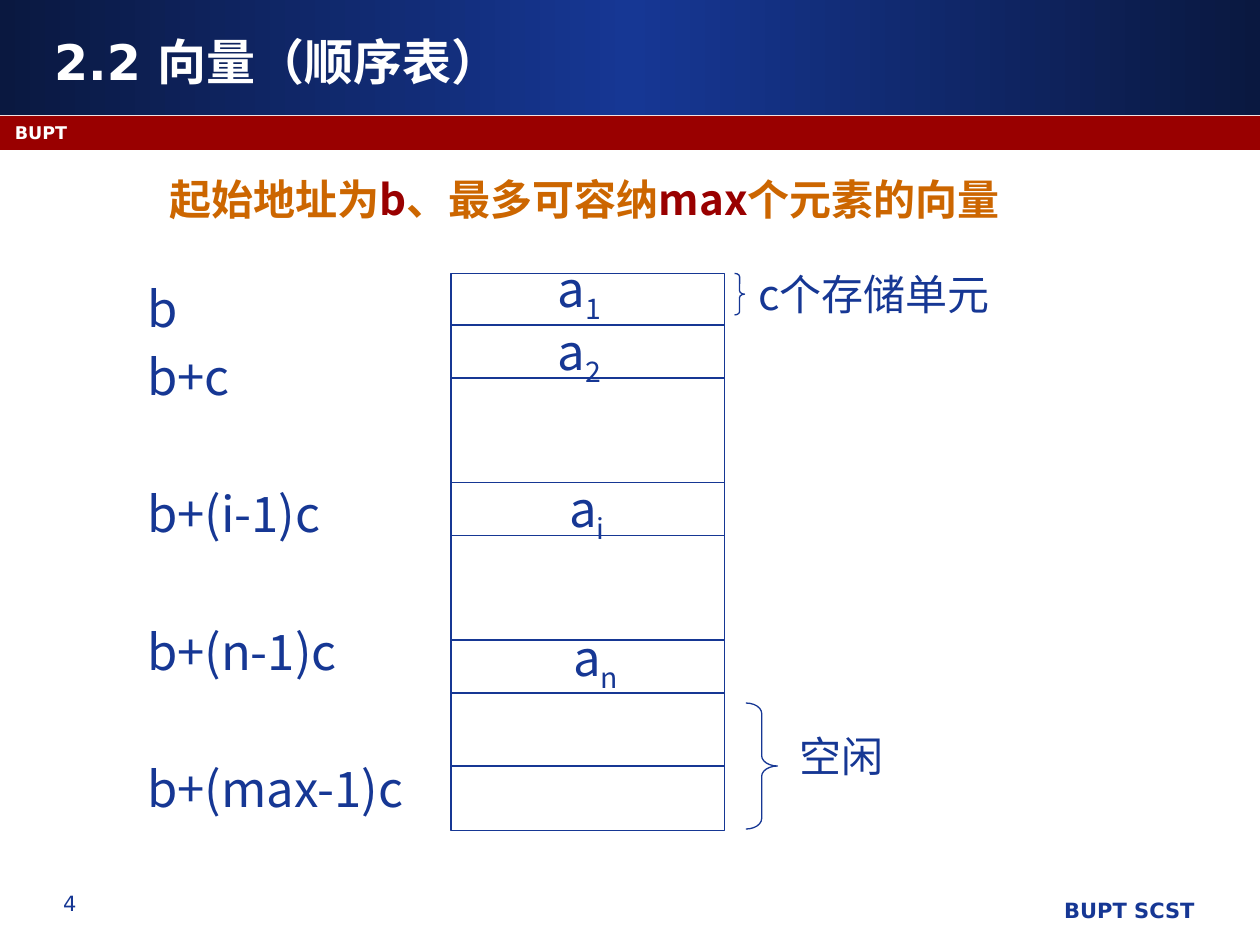
from copy import deepcopy
from typing import NamedTuple

from lxml.etree import SubElement
from pptx import Presentation
from pptx.dml.color import RGBColor
from pptx.enum.shapes import MSO_CONNECTOR as Connector, MSO_SHAPE as Shape
from pptx.enum.text import MSO_ANCHOR as Anchor, PP_ALIGN as Align
from pptx.oxml.ns import qn
from pptx.util import Inches, Pt

BLUE = RGBColor(0x16, 0x37, 0x94)
NAVY = RGBColor(0x0A, 0x18, 0x40)
RED = RGBColor(0x99, 0x00, 0x00)
ORANGE = RGBColor(0xCC, 0x66, 0x00)
WHITE = RGBColor(0xFF, 0xFF, 0xFF)
LATIN = "DejaVu Sans"
CHINESE = "Noto Sans CJK SC"


class Box(NamedTuple):
    left: float
    top: float
    width: float
    height: float

    def inches(self) -> list:
        return [Inches(value) for value in self]


class Element(NamedTuple):
    subscript: str
    box: Box


class Label(NamedTuple):
    text: str
    box: Box
    format: dict
    align: Align = Align.LEFT


class Address(NamedTuple):
    text: str
    skipped_rows: int


BODY = {"name": CHINESE, "size": Pt(28), "bold": False, "color": BLUE}
NOTE = BODY | {"size": Pt(24)}
HEADING = NOTE | {"bold": True, "color": ORANGE}
TITLE = {"name": LATIN, "size": Pt(28), "bold": True, "color": WHITE}
FOOTER = TITLE | {"size": Pt(12), "color": BLUE}

TABLE = Box(3.58, 2.17, 2.17, 4.42)
DIVIDERS = [2.58, 3, 3.83, 4.25, 5.08, 5.5, 6.08]
BRACES = [Box(5.92, 5.58, 0.25, 1), Box(5.83, 2.17, 0.08, 0.33)]
ROW_PITCH = 39.2
ADDRESSES = [
    Address("b", 0),
    Address("b+c", 0),
    Address("b+(i-1)c", 1),
    Address("b+(n-1)c", 1),
    Address("b+(max-1)c", 1),
]
ELEMENTS = [
    Element("1", Box(4.33, 2, 0.92, 0.57)),
    Element("2", Box(4.33, 2.5, 0.83, 0.57)),
    Element("i", Box(4.42, 3.75, 0.67, 0.57)),
    Element("n", Box(4.45, 4.93, 0.95, 0.57)),
]
LABELS = [
    Label("BUPT SCST", Box(4.21, 7.07, 5.37, 0.35), FOOTER, Align.RIGHT),
    Label("4", Box(0.12, 7.02, 0.87, 0.35), FOOTER | {"bold": False}, Align.CENTER),
    Label("BUPT", Box(0.02, 0.92, 9.25, 0.25), TITLE | {"size": Pt(10)}),
    Label("空闲", Box(6.25, 5.75, 1, 0.5), NOTE),
    Label("c个存储单元", Box(5.92, 2.08, 2.33, 0.5), NOTE),
]
HEADING_PARTS = [
    ("起始地址为", ORANGE),
    ("b", RED),
    ("、最多可容纳", ORANGE),
    ("max", RED),
    ("个元素的向量", ORANGE),
]


def add_run(paragraph, text: str, format: dict):
    run = paragraph.add_run()
    run.text = text
    for name, value in format.items():
        if name == "color":
            run.font.color.rgb = value
        else:
            setattr(run.font, name, value)
    SubElement(run.font._element, qn("a:ea"), typeface=format["name"])
    return run


def add_text_frame(slide, box: Box):
    frame = slide.shapes.add_textbox(*box.inches()).text_frame
    frame.word_wrap = True
    return frame


def add_label(slide, label: Label) -> None:
    paragraph = add_text_frame(slide, label.box).paragraphs[0]
    paragraph.alignment = label.align
    add_run(paragraph, label.text, label.format)


def add_element(slide, element: Element) -> None:
    paragraph = add_text_frame(slide, element.box).paragraphs[0]
    add_run(paragraph, "a", BODY)
    subscript = add_run(paragraph, element.subscript, BODY)
    subscript.font._element.set("baseline", "-25000")


def add_plain_shape(slide, kind: Shape, box: Box):
    shape = slide.shapes.add_shape(kind, *box.inches())
    shape.shadow.inherit = False
    return shape


def add_outline(slide, kind: Shape, box: Box):
    shape = add_plain_shape(slide, kind, box)
    shape.fill.background()
    shape.line.color.rgb = BLUE
    shape.line.width = Pt(0.75)
    return shape


def add_divider(slide, top: float) -> None:
    start, end = Inches(TABLE.left), Inches(TABLE.left + TABLE.width)
    line = slide.shapes.add_connector(
        Connector.STRAIGHT, start, Inches(top), end, Inches(top)
    )
    line.line.color.rgb = BLUE
    line.line.width = Pt(0.75)
    SubElement(line._element.spPr, qn("a:effectLst"))


def add_banner(slide) -> None:
    banner = add_plain_shape(slide, Shape.RECTANGLE, Box(0, 0, 10, 0.91))
    banner.line.fill.background()
    banner.fill.gradient()
    banner.fill.gradient_angle = 0
    stop_list = banner._element.spPr.find(qn("a:gradFill")).find(qn("a:gsLst"))
    stop_list.append(deepcopy(stop_list[0]))
    stops = zip(banner.fill.gradient_stops, (0, 0.5, 1), (NAVY, BLUE, NAVY))
    for stop, position, color in stops:
        stop.position = position
        stop.color.rgb = color
    strip = add_plain_shape(slide, Shape.RECTANGLE, Box(0, 0.92, 10, 0.27))
    strip.fill.solid()
    strip.fill.fore_color.rgb = RED
    strip.line.fill.background()


def add_title(slide) -> None:
    title = slide.shapes.title
    title.left, title.top, title.width, title.height = Box(0.33, 0.17, 9.25, 0.62).inches()
    title.text_frame.vertical_anchor = Anchor.MIDDLE
    paragraph = title.text_frame.paragraphs[0]
    paragraph.alignment = Align.LEFT
    add_run(paragraph, "2.2 向量（顺序表）", TITLE)
    slide.shapes._spTree.append(title._element)


def add_addresses(slide) -> None:
    frame = add_text_frame(slide, Box(1.07, 2.08, 2.5, 4.5))
    for index, address in enumerate(ADDRESSES):
        paragraph = frame.add_paragraph() if index else frame.paragraphs[0]
        paragraph.line_spacing = Pt(ROW_PITCH)
        paragraph.space_before = Pt(ROW_PITCH * address.skipped_rows)
        add_run(paragraph, address.text, BODY)


def main() -> None:
    presentation = Presentation()
    presentation.slide_width, presentation.slide_height = Inches(10), Inches(7.5)
    slide = presentation.slides.add_slide(presentation.slide_layouts[5])
    add_banner(slide)
    add_title(slide)
    add_addresses(slide)
    add_outline(slide, Shape.RECTANGLE, TABLE)
    for top in DIVIDERS:
        add_divider(slide, top)
    for element in ELEMENTS:
        add_element(slide, element)
    for box in BRACES:
        brace = add_outline(slide, Shape.RIGHT_BRACE, box)
        brace.adjustments[0] = 0.33
    for label in LABELS:
        add_label(slide, label)
    heading = add_text_frame(slide, Box(1.25, 1.33, 7.58, 0.5)).paragraphs[0]
    for text, color in HEADING_PARTS:
        add_run(heading, text, HEADING | {"color": color})
    presentation.save("out.pptx")


if __name__ == "__main__":
    main()
